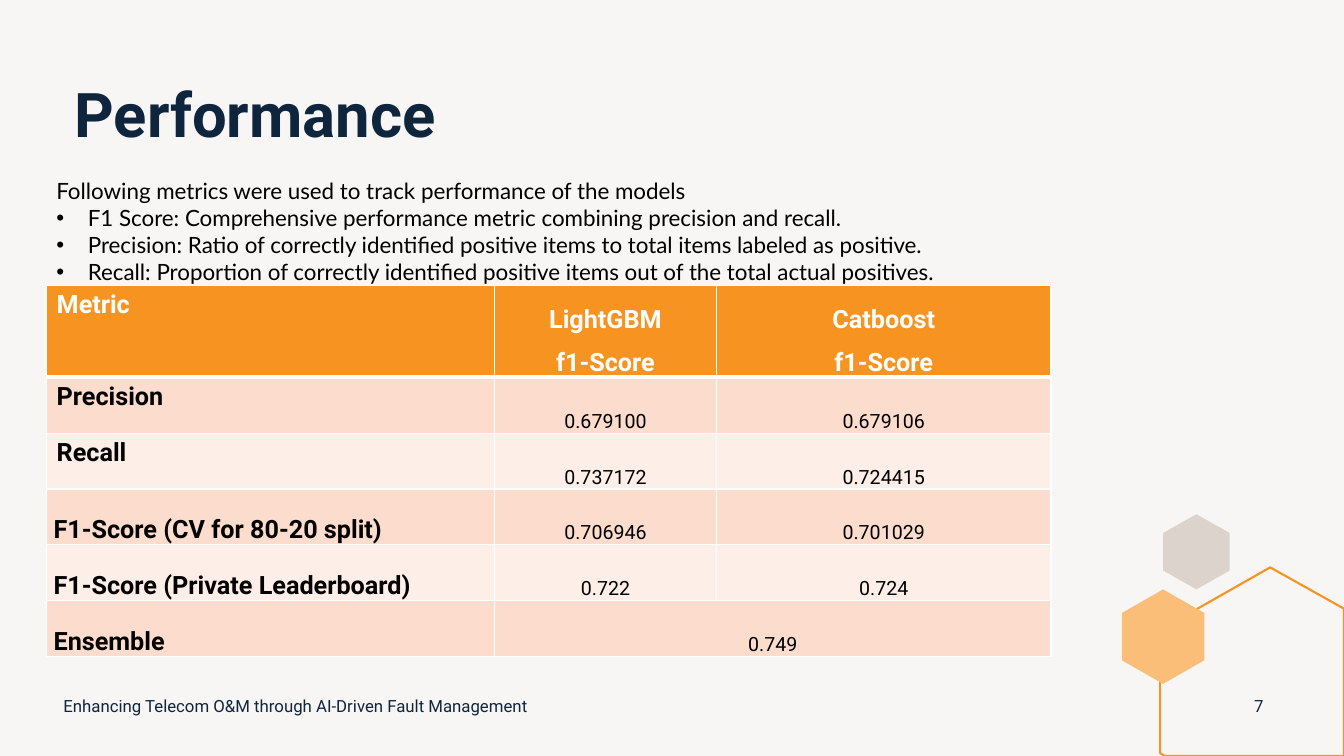
from dataclasses import dataclass

from lxml import etree
from pptx import Presentation
from pptx import util as u
from pptx.dml.color import RGBColor
from pptx.enum import text as t
from pptx.oxml.ns import qn

Pt = u.Pt
COLORS = {
    "paper": "F8F6F5", "navy": "0F253E", "orange": "F79320", "apricot": "FABE79",
    "stone": "DCD3CC", "band_dark": "FCDCCD", "band_light": "FDEEE8",
    "white": "FFFFFF", "black": "000000",
}
Point = tuple[float, float]


def rgb(name: str) -> RGBColor:
    return RGBColor.from_string(COLORS[name])


@dataclass
class Outline:
    corners: list[Point]
    fill: str | None = None
    line: str | None = None


@dataclass
class Style:
    size: float
    color: str
    font: str = "Roboto"
    bold: bool = False
    align: t.PP_ALIGN = t.PP_ALIGN.LEFT
    spacing: float | None = None
    before: float = 0
    after: float = 0


@dataclass
class Caption:
    box: tuple[float, float, float, float]
    lines: list[str]
    style: Style
    anchor: t.MSO_ANCHOR = t.MSO_ANCHOR.TOP
    bullets_from: int | None = None


@dataclass
class MetricRow:
    label: str
    scores: list[str]
    label_low: bool = True


def hexagon(left: float, top: float, width: float, height: float) -> list[Point]:
    middle, right = left + width / 2, left + width
    upper, lower = top + height / 4, top + height * 3 / 4
    return [(middle, top), (right, upper), (right, lower),
            (middle, top + height), (left, lower), (left, upper)]


def draw_outline(slide, outline: Outline) -> None:
    corners = [(Pt(x), Pt(y)) for x, y in outline.corners]
    builder = slide.shapes.build_freeform(*corners[0])
    builder.add_line_segments(corners[1:], close=True)
    shape = builder.convert_to_shape()
    shape.shadow.inherit = False
    if outline.fill:
        shape.fill.solid()
        shape.fill.fore_color.rgb = rgb(outline.fill)
    else:
        shape.fill.background()
    if outline.line:
        shape.line.color.rgb = rgb(outline.line)
        shape.line.width = Pt(1.5)
    else:
        shape.line.fill.background()


def write_lines(frame, lines: list[str], style: Style) -> None:
    for index, line in enumerate(lines):
        paragraph = frame.add_paragraph() if index else frame.paragraphs[0]
        paragraph.text = line
        paragraph.alignment = style.align
        paragraph.line_spacing = style.spacing
        paragraph.space_before = Pt(style.before)
        paragraph.space_after = Pt(style.after)
        paragraph.font.name = style.font
        paragraph.font.size = Pt(style.size)
        paragraph.font.bold = style.bold
        paragraph.font.color.rgb = rgb(style.color)


def add_bullet(paragraph) -> None:
    properties = paragraph._p.get_or_add_pPr()
    properties.set("marL", str(Pt(22.5)))
    properties.set("indent", str(-Pt(22.5)))
    bullet_font = etree.Element(qn("a:buFont"), typeface="Arial")
    bullet = etree.Element(qn("a:buChar"), char="•")
    defaults = properties.find(qn("a:defRPr"))
    for element in (bullet_font, bullet):
        if defaults is None:
            properties.append(element)
        else:
            defaults.addprevious(element)


def draw_caption(slide, caption: Caption) -> None:
    frame = slide.shapes.add_textbox(*map(Pt, caption.box)).text_frame
    frame.word_wrap = True
    frame.vertical_anchor = caption.anchor
    write_lines(frame, caption.lines, caption.style)
    if caption.bullets_from is not None:
        for paragraph in frame.paragraphs[caption.bullets_from:]:
            add_bullet(paragraph)


def add_borders(cell, top: float, bottom: float) -> None:
    properties = cell._tc.get_or_add_tcPr()
    for side, width in (("lnL", 1), ("lnR", 1), ("lnT", top), ("lnB", bottom)):
        border = etree.SubElement(properties, qn(f"a:{side}"), w=str(Pt(width)))
        paint = etree.SubElement(border, qn("a:solidFill"))
        etree.SubElement(paint, qn("a:srgbClr"), val=COLORS["white"])


def fill_cell(cell, lines: list[str], style: Style, low: bool) -> None:
    if low:
        cell.vertical_anchor = t.MSO_ANCHOR.BOTTOM
        cell.margin_left = cell.margin_right = Pt(5)
        cell.margin_top = cell.margin_bottom = 0
    write_lines(cell.text_frame, lines, style)


def draw_metrics(slide, heads: list[str], rows: list[MetricRow]) -> None:
    widths, heights = [320, 158.5, 239], [65.5] + [39.9] * len(rows)
    table = slide.shapes.add_table(
        len(heights), len(widths), Pt(33.3), Pt(204), Pt(sum(widths)), Pt(sum(heights))).table
    for column, width in zip(table.columns, widths):
        column.width = Pt(width)
    for index, height in enumerate(heights):
        table.rows[index].height = Pt(height)
        band = "orange" if index == 0 else "band_dark" if index % 2 else "band_light"
        for cell in table.rows[index].cells:
            add_borders(cell, 3 if index == 1 else 1, 3 if index == 0 else 1)
            cell.fill.solid()
            cell.fill.fore_color.rgb = rgb(band)

    center = t.PP_ALIGN.CENTER
    head_style = Style(18, "white", bold=True, align=center, spacing=1.07, before=4, after=4)
    score_style = Style(14, "black", align=center, spacing=1.07, before=2)
    fill_cell(table.cell(0, 0), ["Metric"], Style(18, "white", bold=True), False)
    for column, model in enumerate(heads, 1):
        fill_cell(table.cell(0, column), [model, "f1-Score"], head_style, True)
    for index, row in enumerate(rows, 1):
        fill_cell(table.cell(index, 0), [row.label], Style(18, "black", bold=True), row.label_low)
        if len(row.scores) < len(heads):
            table.cell(index, 1).merge(table.cell(index, len(heads)))
        for column, score in enumerate(row.scores, 1):
            fill_cell(table.cell(index, column), [score], score_style, True)


OUTLINES = [
    Outline(hexagon(830.8, 367.3, 47.6, 53.7), fill="stone"),
    Outline([(907.3, 405.3), (960, 434.8), (960, 540), (832, 540), (828.7, 538), (828.7, 450)],
            line="orange"),
    Outline(hexagon(801.3, 421, 59, 67.5), fill="apricot"),
]
CAPTIONS = [
    Caption((46, 57, 857.5, 57.5), ["Performance"], Style(44, "navy", bold=True, spacing=0.9)),
    Caption((38.2, 489.8, 348, 28.8),
            ["Enhancing Telecom O&M through AI-Driven Fault Management"],
            Style(12, "navy"), t.MSO_ANCHOR.MIDDLE),
    Caption((881.3, 489.8, 36, 28.8), ["7"],
            Style(12, "navy", align=t.PP_ALIGN.CENTER), t.MSO_ANCHOR.MIDDLE),
    Caption((33.2, 123.2, 852.5, 85), [
        "Following metrics were used to track performance of the models",
        "F1 Score: Comprehensive performance metric combining precision and recall.",
        "Precision: Ratio of correctly identified positive items to total items labeled as positive.",
        "Recall: Proportion of correctly identified positive items out of the total actual positives.",
    ], Style(16, "black", font="Lato"), bullets_from=1),
]
METRICS = [
    MetricRow("Precision", ["0.679100", "0.679106"], label_low=False),
    MetricRow("Recall", ["0.737172", "0.724415"], label_low=False),
    MetricRow("F1-Score (CV for 80-20 split)", ["0.706946", "0.701029"]),
    MetricRow("F1-Score (Private Leaderboard)", ["0.722", "0.724"]),
    MetricRow("Ensemble", ["0.749"]),
]


def main() -> None:
    deck = Presentation()
    deck.slide_width, deck.slide_height = Pt(960), Pt(540)
    slide = deck.slides.add_slide(deck.slide_layouts[6])
    slide.background.fill.solid()
    slide.background.fill.fore_color.rgb = rgb("paper")
    for outline in OUTLINES:
        draw_outline(slide, outline)
    draw_metrics(slide, ["LightGBM", "Catboost"], METRICS)
    for caption in CAPTIONS:
        draw_caption(slide, caption)
    deck.save("out.pptx")


if __name__ == "__main__":
    main()
